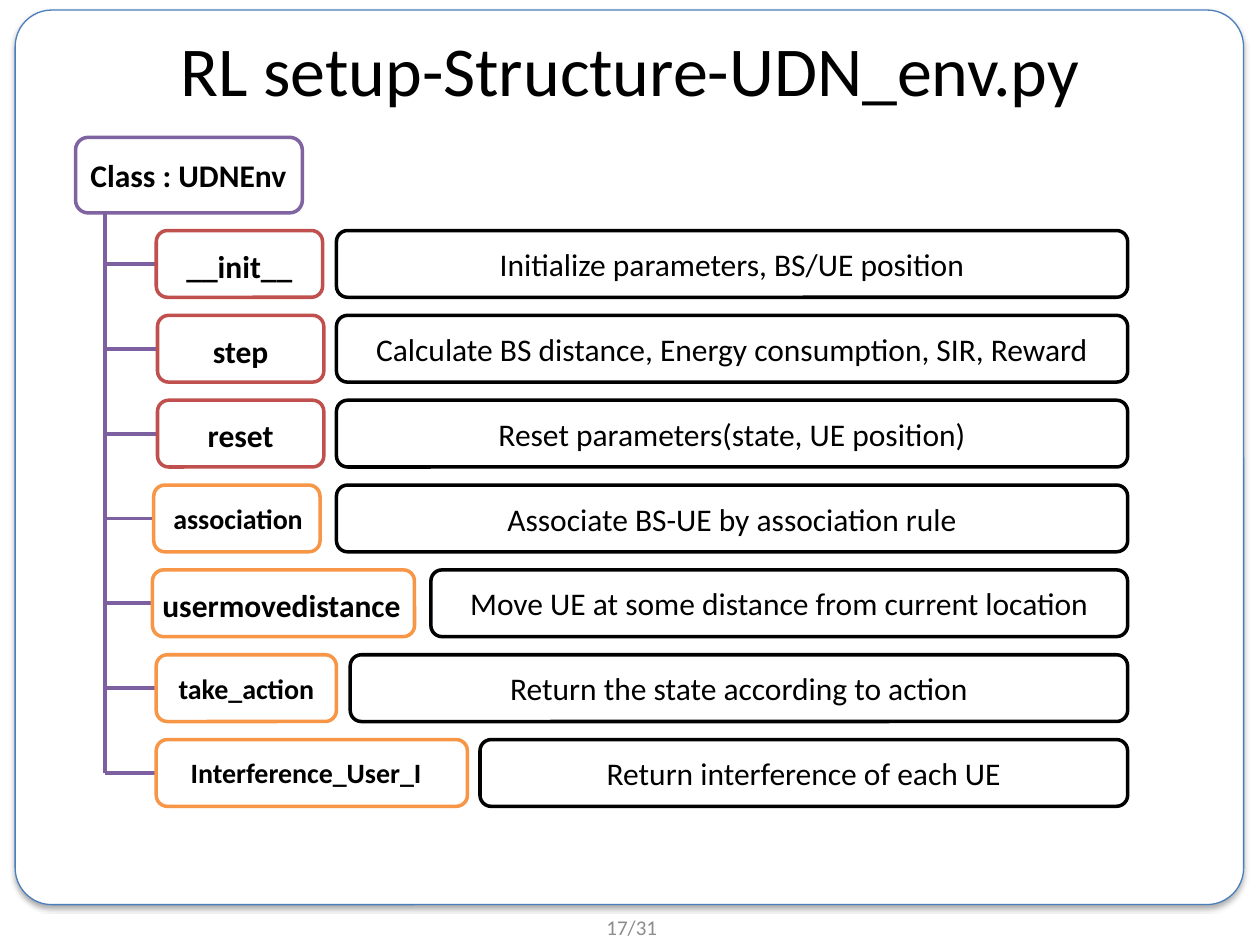
from lxml.etree import SubElement
from pptx import Presentation
from pptx.dml.color import RGBColor
from pptx.enum.shapes import MSO_CONNECTOR as Connector, MSO_SHAPE as Shape
from pptx.enum.text import MSO_ANCHOR as Anchor, PP_ALIGN as Align
from pptx.oxml.ns import qn
from pptx.util import Inches, Pt

TITLE = "RL setup-Structure-UDN_env.py"
PAGE = "17/31"
CLASS_NAME = "Class : UDNEnv"

# Each method: name, role, size, box (left, width), label (left, width), description, description left
METHODS = [
    ("__init__", "core", "body", (1.24, 1.32), (1.25, 1.30),
     "Initialize parameters, BS/UE position", 2.67),
    ("step", "core", "body", (1.25, 1.32), (1.26, 1.30),
     "Calculate BS distance, Energy consumption, SIR, Reward", 2.67),
    ("reset", "core", "body", (1.25, 1.32), (1.26, 1.30),
     "Reset parameters(state, UE position)", 2.67),
    ("association", "helper", "small", (1.22, 1.32), (1.24, 1.30),
     "Associate BS-UE by association rule", 2.67),
    ("usermovedistance", "helper", "body", (1.21, 2.08), (1.17, 2.13),
     "Move UE at some distance from current location", 3.42),
    ("take_action", "helper", "small", (1.24, 1.43), (1.25, 1.41),
     "Return the state according to action", 2.78),
    ("Interference_User_I", "helper", "small", (1.24, 2.47), (1.24, 2.38),
     "Return interference of each UE", 3.81),
]

THEME = {
    "font": "Calibri",
    "colors": {"text": "000000", "paper": "FFFFFF", "frame": "4B7EBC", "page": "8C8C8C",
               "class": "8064A2", "tree": "7D60A0", "core": "C0504D", "helper": "F79646"},
    "sizes": {"title": 40, "body": 18, "small": 16, "page": 12},
}

FIRST_TOP, LAST_TOP = 1.83, 5.87
ROW_STEP = (LAST_TOP - FIRST_TOP) / (len(METHODS) - 1)
ROW_HEIGHT = 0.53
LABEL_OFFSET = 0.08
LABEL_HEIGHT = 0.4
DESCRIPTION_RIGHT = 8.95
TRUNK_X = 0.83
CLASS_BOX = (0.6, 1.09, 1.8, 0.6)


def color(name):
    return RGBColor.from_string(THEME["colors"][name])


def write(shape, text, size, tint="text", bold=False, align=Align.CENTER, anchor=Anchor.MIDDLE):
    frame = shape.text_frame
    frame.text = text
    frame.word_wrap = True
    frame.vertical_anchor = anchor
    paragraph = frame.paragraphs[0]
    paragraph.alignment = align
    font = paragraph.font
    font.name = THEME["font"]
    font.size = Pt(THEME["sizes"][size])
    font.bold = bold
    font.color.rgb = color(tint)
    return paragraph


def add_box(slide, bounds, line, width=2):
    shape = slide.shapes.add_shape(Shape.ROUNDED_RECTANGLE, *map(Inches, bounds))
    shape.shadow.inherit = False
    shape.fill.solid()
    shape.fill.fore_color.rgb = color("paper")
    shape.line.color.rgb = color(line)
    shape.line.width = Pt(width)
    return shape


def add_label(slide, bounds, text, size, **style):
    return write(slide.shapes.add_textbox(*map(Inches, bounds)), text, size, **style)


def add_branch(slide, start, end):
    line = slide.shapes.add_connector(Connector.STRAIGHT, *map(Inches, start + end))
    line.line.color.rgb = color("tree")
    line.line.width = Pt(2.25)
    SubElement(line._element.spPr, qn("a:effectLst"))
    return line


def add_shadow(effects, blur, distance, angle, opacity):
    shadow = SubElement(effects, qn("a:outerShdw"), blurRad=str(Pt(blur)), dist=str(Pt(distance)),
                        dir=str(angle * 60000), algn="tl", rotWithShape="0")
    black = SubElement(shadow, qn("a:srgbClr"), val=THEME["colors"]["text"])
    SubElement(black, qn("a:alpha"), val=str(opacity * 1000))


def add_frame(slide):
    frame = add_box(slide, (0.12, 0.08, 9.75, 7.1), "frame", 0.75)
    frame.adjustments[0] = 0.041
    add_shadow(frame._element.spPr.find(qn("a:effectLst")), 3.1, 1.8, 90, 35)
    slide.shapes._spTree.insert(2, frame._element)


def add_title(slide):
    title = slide.shapes.title
    title.left, title.top, title.width, title.height = map(Inches, (0.13, 0, 9.74, 1.08))
    run = write(title, TITLE, "title").runs[0]
    add_shadow(SubElement(run._r.get_or_add_rPr(), qn("a:effectLst")), 3, 3, 45, 43)


def add_class(slide):
    left, top, width, height = CLASS_BOX
    add_box(slide, CLASS_BOX, "class")
    add_label(slide, (left + 0.02, top + 0.1, width - 0.04, LABEL_HEIGHT), CLASS_NAME, "body",
              bold=True, align=Align.LEFT, anchor=Anchor.TOP)
    add_branch(slide, (TRUNK_X, top + height), (TRUNK_X, LAST_TOP + ROW_HEIGHT / 2))


def add_method(slide, row, method):
    name, role, size, (left, width), (label_left, label_width), description, start = method
    top = FIRST_TOP + row * ROW_STEP
    middle = top + ROW_HEIGHT / 2
    branch = add_branch(slide, (TRUNK_X, middle), (left, middle))
    box = add_box(slide, (left, top, width, ROW_HEIGHT), role)
    branch.end_connect(box, 1)
    add_label(slide, (label_left, top + LABEL_OFFSET, label_width, LABEL_HEIGHT), name, size,
              bold=True, anchor=Anchor.TOP)
    detail = add_box(slide, (start, top, DESCRIPTION_RIGHT - start, ROW_HEIGHT), "text")
    write(detail, description, "body")


def main():
    presentation = Presentation()
    presentation.slide_width, presentation.slide_height = Inches(10), Inches(7.5)
    slide = presentation.slides.add_slide(presentation.slide_layouts[5])
    add_frame(slide)
    add_title(slide)
    add_class(slide)
    for row, method in enumerate(METHODS):
        add_method(slide, row, method)
    add_label(slide, (3.85, 7.21, 2.33, 0.29), PAGE, "page", tint="page")
    presentation.save("out.pptx")


if __name__ == "__main__":
    main()
